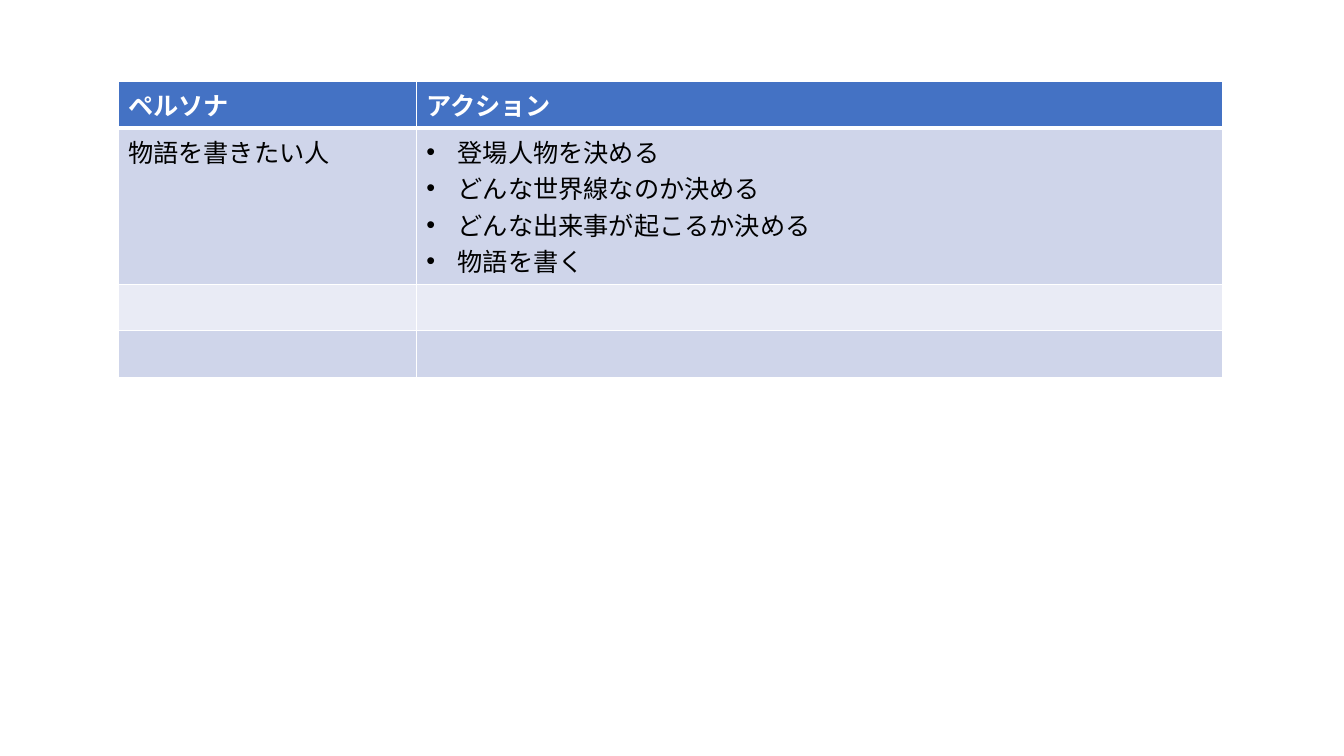
from lxml.etree import SubElement
from pptx import Presentation
from pptx.dml.color import RGBColor
from pptx.oxml.ns import qn
from pptx.util import Inches, Pt

WHITE = RGBColor(0xFF, 0xFF, 0xFF)
BLACK = RGBColor(0x00, 0x00, 0x00)
BLUE = RGBColor(0x44, 0x72, 0xC4)
BANDS = (RGBColor(0xE9, 0xEB, 0xF5), RGBColor(0xCF, 0xD5, 0xEA))
FONT = "Noto Sans CJK JP"
HEADER_FORMAT = {"name": FONT, "size": Pt(18), "bold": True}
BODY_FORMAT = {**HEADER_FORMAT, "bold": False}

ROWS = (
    (["ペルソナ"], ["アクション"]),
    (
        ["物語を書きたい人"],
        [
            "登場人物を決める",
            "どんな世界線なのか決める",
            "どんな出来事が起こるか決める",
            "物語を書く",
        ],
    ),
    ([], []),
    ([], []),
)
COLUMN_SHARES = (0.27, 0.73)
ROW_HEIGHTS = (0.46, 1.55, 0.46, 0.46)


def add_border(cell, side, width):
    """Draw one white border of a cell."""
    ln = SubElement(cell._tc.get_or_add_tcPr(), qn(f"a:{side}"), w=str(Pt(width)))
    fill = SubElement(ln, qn("a:solidFill"))
    SubElement(fill, qn("a:srgbClr"), val=str(WHITE))


def add_bullet(p):
    """Give a paragraph a round bullet with a hanging indent."""
    pPr = p._p.get_or_add_pPr()
    indent = Inches(0.31)
    pPr.set("marL", str(indent))
    pPr.set("indent", str(-indent))
    SubElement(pPr, qn("a:buFont"), typeface="Arial")
    SubElement(pPr, qn("a:buChar"), char="•")


def write_cell(cell, lines, color, font_format, bulleted):
    """Write the lines of a cell as paragraphs."""
    tf = cell.text_frame
    for i, line in enumerate(lines):
        p = tf.add_paragraph() if i else tf.paragraphs[0]
        if bulleted:
            add_bullet(p)
        r = p.add_run()
        r.text = line
        for name, value in font_format.items():
            setattr(r.font, name, value)
        r.font.color.rgb = color
        SubElement(r._r.get_or_add_rPr(), qn("a:ea"), typeface=FONT)


def add_persona_table(s, left, top, width):
    """Place the table of personas and their actions."""
    height = Inches(sum(ROW_HEIGHTS))
    table = s.shapes.add_table(
        len(ROWS), len(COLUMN_SHARES), left, top, width, height
    ).table
    for column, share in zip(table.columns, COLUMN_SHARES):
        column.width = int(width * share)
    for i, (row, row_height) in enumerate(zip(ROWS, ROW_HEIGHTS)):
        table.rows[i].height = Inches(row_height)
        header = i == 0
        for j, lines in enumerate(row):
            cell = table.cell(i, j)
            widths = {"lnL": 1, "lnR": 1, "lnT": 3 if i == 1 else 1, "lnB": 3 if header else 1}
            for side, border_width in widths.items():
                add_border(cell, side, border_width)
            cell.fill.solid()
            cell.fill.fore_color.rgb = BLUE if header else BANDS[i % 2]
            write_cell(
                cell,
                lines,
                WHITE if header else BLACK,
                HEADER_FORMAT if header else BODY_FORMAT,
                bulleted=j == 1 and not header,
            )


def main():
    """Build and save the presentation."""
    prs = Presentation()
    prs.slide_width, prs.slide_height = Inches(13.33), Inches(7.5)
    s = prs.slides.add_slide(prs.slide_layouts[6])
    add_persona_table(s, Inches(1.17), Inches(0.81), Inches(10.96))
    prs.save("out.pptx")


if __name__ == "__main__":
    main()
